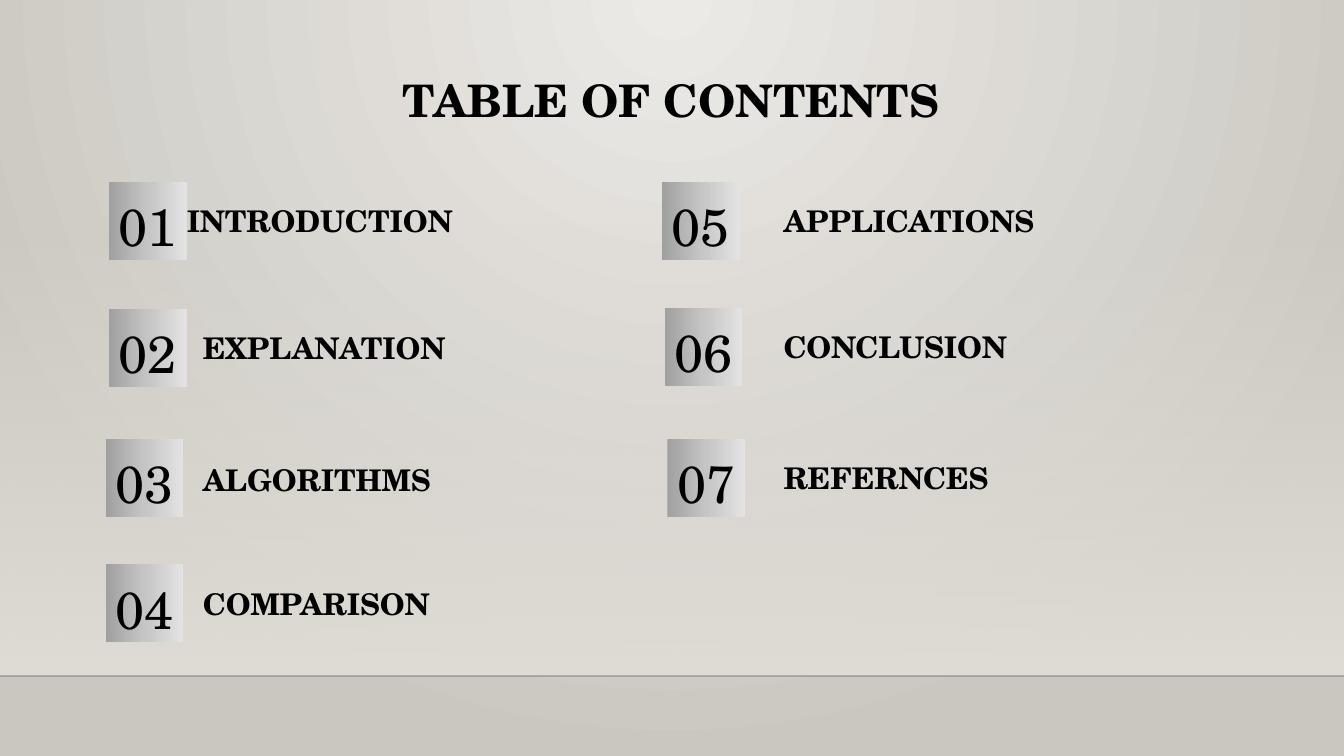
from lxml.etree import SubElement
from pptx import Presentation
from pptx.dml.color import RGBColor
from pptx.enum.shapes import MSO_CONNECTOR as CONN, MSO_SHAPE as SHAPE
from pptx.enum.text import MSO_ANCHOR as ANCHOR, PP_ALIGN as ALIGN
from pptx.oxml.ns import qn
from pptx.util import Pt

PX = 4572  # 200 px to the inch
W, H = 2000, 1125
WALL_Y, FLOOR_Y = 332, 1006
TILE = 116
LABEL_W = 530
FONT = "TeX Gyre Schola"
COLORS = {
    "text": "000000", "floor_line": "000001", "wall": "DFDBD5",
    "bg_light": "ECEAE7", "bg_dark": "CAC7C1",
    "tile_dark": "A0A0A0", "tile_mid": "C5C5C5", "tile_light": "E3E3E3",
}

# number, label, tile x and y, then label x and y from the tile, label height
ENTRIES = [
    ("01", "INTRODUCTION", 162, 271, 116, 21, 74),
    ("02", "EXPLANATION", 162, 460, 140, 20, 74),
    ("03", "ALGORITHMS", 157, 653, 145, 31, 60),
    ("04", "COMPARISON", 157, 840, 145, 28, 60),
    ("05", "APPLICATIONS", 985, 271, 181, 27, 60),
    ("06", "CONCLUSION", 989, 458, 177, 28, 60),
    ("07", "REFERNCES", 993, 653, 173, 28, 60),
]


def px(*lengths):
    return [n * PX for n in lengths]


def set_gradient(fill, props, stops, angle=None, focus=None):
    """Stops are (percent, colour name, opacity percent); focus makes it circular."""
    fill.gradient()
    grad = props.find(qn("a:gradFill"))
    for child in list(grad):
        grad.remove(child)
    gs_list = SubElement(grad, qn("a:gsLst"))
    for pos, name, opacity in stops:
        gs = SubElement(gs_list, qn("a:gs"), pos=str(pos * 1000))
        color = SubElement(gs, qn("a:srgbClr"), val=COLORS[name])
        if opacity < 100:
            SubElement(color, qn("a:alpha"), val=str(opacity * 1000))
    if focus:
        circle = SubElement(grad, qn("a:path"), path="circle")
        sides = {k: str(v * 1000) for k, v in zip("ltrb", focus)}
        SubElement(circle, qn("a:fillToRect"), **sides)
    else:
        SubElement(grad, qn("a:lin"), ang=str(angle * 60000), scaled="0")


def add_rect(s, x, y, w, h, stops, angle):
    sp = s.shapes.add_shape(SHAPE.RECTANGLE, *px(x, y, w, h))
    sp.shadow.inherit = False
    sp.line.fill.background()
    set_gradient(sp.fill, sp._element.spPr, stops, angle)
    return sp


def set_text(sp, text, size, bold=False, align=ALIGN.LEFT, spacing=1.0, inset=0):
    tf = sp.text_frame
    tf.word_wrap = True
    tf.vertical_anchor = ANCHOR.MIDDLE
    tf.margin_left, tf.margin_top, tf.margin_right, tf.margin_bottom = px(*[inset] * 4)
    p = tf.paragraphs[0]
    p.alignment, p.line_spacing = align, spacing
    r = p.add_run()
    r.text = text
    r.font.name, r.font.size, r.font.bold = FONT, Pt(size), bold
    r.font.color.rgb = RGBColor.from_string(COLORS["text"])


def add_backdrop(s):
    fill = s.background.fill
    fill.solid()
    props = s._element.xpath(".//p:bgPr")[0]
    set_gradient(fill, props, [(0, "bg_light", 100), (100, "bg_dark", 100)],
                 focus=(43, 0, 43, 100))
    add_rect(s, 0, WALL_Y, W, FLOOR_Y - WALL_Y,
             [(0, "wall", 0), (100, "wall", 100)], 90)
    line = s.shapes.add_connector(CONN.STRAIGHT, *px(0, FLOOR_Y, W, FLOOR_Y))
    line.line.width = Pt(1)
    line.line.color.rgb = RGBColor.from_string(COLORS["floor_line"])
    color = line._element.xpath(".//a:ln//a:srgbClr")[0]
    SubElement(color, qn("a:alpha"), val="20000")
    SubElement(line._element.spPr, qn("a:effectLst"))


def add_title(s, x, y, w, h):
    sp = s.shapes.add_textbox(*px(x, y, w, h))
    set_text(sp, "TABLE OF CONTENTS", 24, bold=True, align=ALIGN.CENTER,
             spacing=0.9, inset=20)


def add_entry(s, number, label, x, y, label_dx, label_dy, label_h):
    sp = s.shapes.add_textbox(*px(x + label_dx, y + label_dy, LABEL_W, label_h))
    set_text(sp, label, 16, bold=True)
    stops = [(0, "tile_dark", 100), (50, "tile_mid", 100), (100, "tile_light", 100)]
    tile = add_rect(s, x, y, TILE, TILE, stops, 0)
    set_text(tile, number, 28, align=ALIGN.CENTER, spacing=1.15)


def main():
    prs = Presentation()
    prs.slide_width, prs.slide_height = px(W, H)
    s = prs.slides.add_slide(prs.slide_layouts[6])
    add_backdrop(s)
    add_title(s, 349, 107, 1298, 92)
    for entry in ENTRIES:
        add_entry(s, *entry)
    prs.save("out.pptx")


if __name__ == "__main__":
    main()
